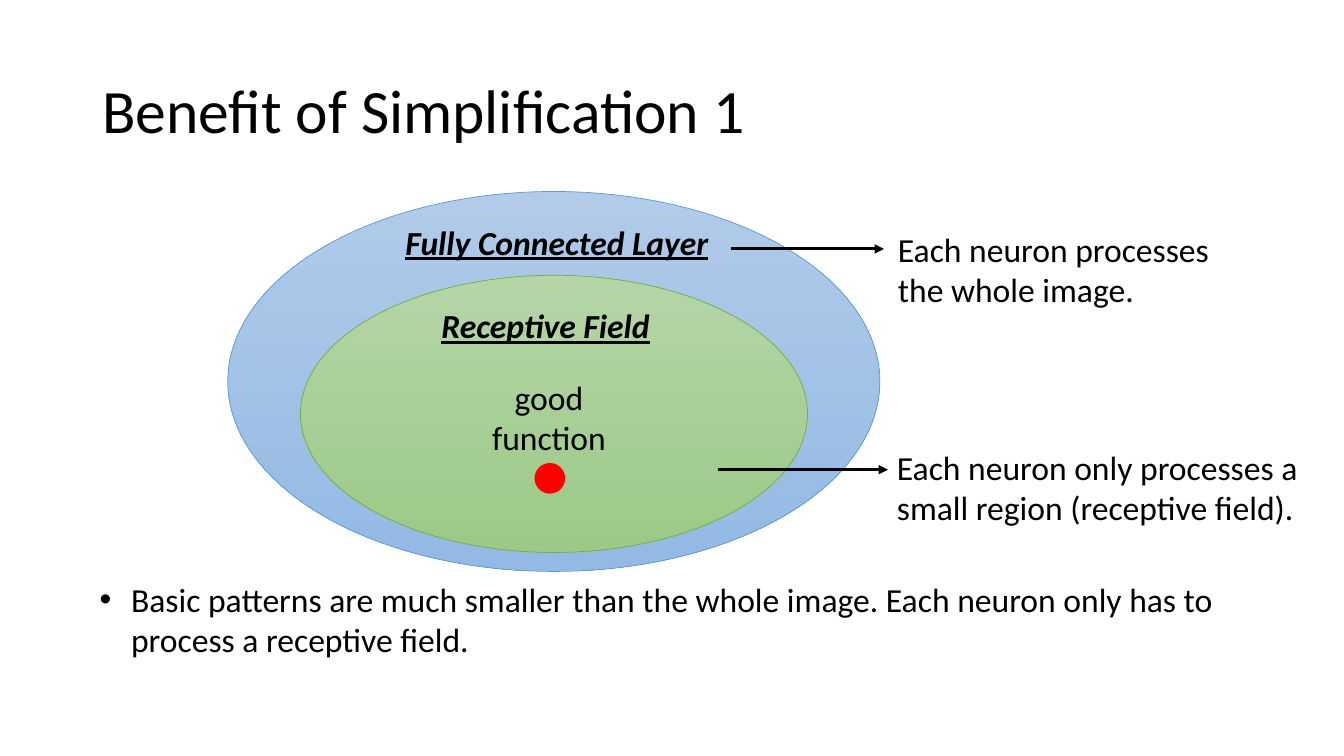
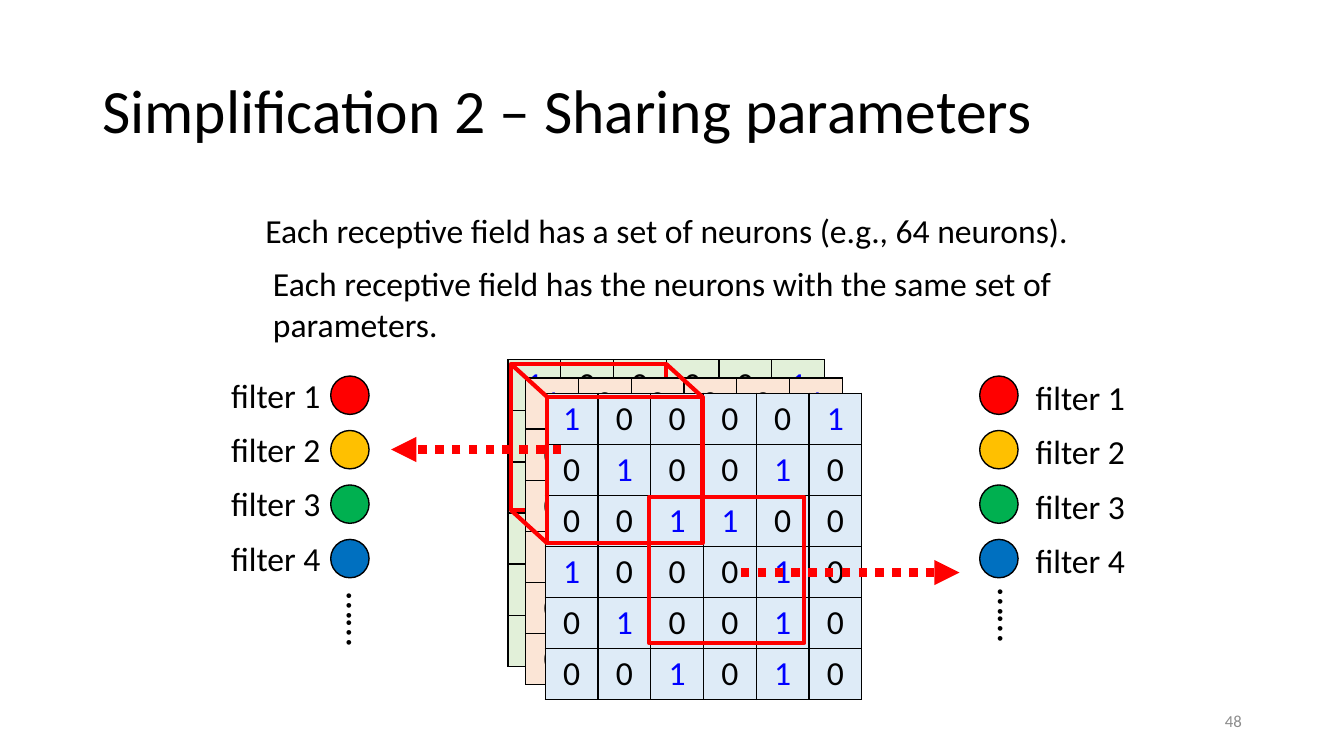
from lxml import etree
from pptx import Presentation
from pptx.dml.color import RGBColor
from pptx.enum.dml import MSO_LINE
from pptx.enum.shapes import MSO_CONNECTOR, MSO_SHAPE
from pptx.enum.text import MSO_ANCHOR, PP_ALIGN
from pptx.oxml.ns import qn
from pptx.util import Pt

LEFT, CENTER, RIGHT = PP_ALIGN.LEFT, PP_ALIGN.CENTER, PP_ALIGN.RIGHT
TOP, MIDDLE = MSO_ANCHOR.TOP, MSO_ANCHOR.MIDDLE
OVAL, RECT = MSO_SHAPE.OVAL, MSO_SHAPE.RECTANGLE
STRAIGHT, DOTTED = MSO_CONNECTOR.STRAIGHT, MSO_LINE.ROUND_DOT

FONT = "Calibri"
COLORS = {
    "black": "000000", "red": "FF0000", "yellow": "FFC000", "green": "00B050",
    "blue": "0070C0", "one": "0000FF", "number": "8C8C8C",
    "layer_top": "B1CBE9", "layer_end": "93B9E4", "layer_line": "5B9BD5",
    "field_top": "B5D5A7", "field_end": "9CC987", "field_line": "70AD47",
    "back": "E2F0D9", "middle": "FBE5D6", "front": "DEEBF7",
}
PIXELS = ["100001", "010010", "001100", "100010", "010010", "001010"]
CELL_W, CELL_H = 37.7, 36.5


def rgb(name):
    return RGBColor.from_string(COLORS[name])


class Deck:
    def __init__(self):
        self.prs = Presentation()
        self.prs.slide_width, self.prs.slide_height = Pt(960), Pt(540)
        self.s = None

    def slide(self, title):
        self.s = self.prs.slides.add_slide(self.prs.slide_layouts[6])
        p = self.text(title, 66, 28.8, 828, 104.4, size=44, anchor=MIDDLE)
        p.line_spacing = 0.9

    def run(self, p, text, size=24, color="black", emphasis=False):
        r = p.add_run()
        r.text = text
        r.font.name, r.font.size = FONT, Pt(size)
        r.font.color.rgb = rgb(color)
        if emphasis:
            r.font.bold = r.font.italic = r.font.underline = True

    def text(self, text, x, y, w, h=36, align=LEFT, anchor=TOP, rotation=0,
             bullet=False, **style):
        sp = self.s.shapes.add_textbox(Pt(x), Pt(y), Pt(w), Pt(h))
        sp.rotation = rotation
        tf = sp.text_frame
        tf.word_wrap, tf.vertical_anchor = True, anchor
        p = tf.paragraphs[0]
        p.alignment = align
        if bullet:
            pPr = p._p.get_or_add_pPr()
            pPr.set("marL", str(Pt(22.5)))
            pPr.set("indent", str(Pt(-22.5)))
            etree.SubElement(pPr, qn("a:buFont"), typeface="Arial")
            etree.SubElement(pPr, qn("a:buChar"), char="•")
        self.run(p, text, **style)
        return p

    def shape(self, kind, x, y, w, h, line, width, fill=None):
        """Fill is None, one colour name, or a (top, bottom) pair."""
        sp = self.s.shapes.add_shape(kind, Pt(x), Pt(y), Pt(w), Pt(h))
        sp.shadow.inherit = False
        sp.line.color.rgb, sp.line.width = rgb(line), Pt(width)
        if fill is None:
            sp.fill.background()
        elif isinstance(fill, tuple):
            sp.fill.gradient()
            sp.fill.gradient_angle = 270
            for stop, name in zip(sp.fill.gradient_stops, fill):
                stop.color.rgb = rgb(name)
        else:
            sp.fill.solid()
            sp.fill.fore_color.rgb = rgb(fill)

    def line(self, x1, y1, x2, y2, color="black", width=2.25, arrow=False, dash=None):
        c = self.s.shapes.add_connector(STRAIGHT, Pt(x1), Pt(y1), Pt(x2), Pt(y2))
        c.line.color.rgb, c.line.width = rgb(color), Pt(width)
        if dash:
            c.line.dash_style = dash
        if arrow:
            etree.SubElement(c.line._get_or_add_ln(), qn("a:tailEnd"), type="triangle")
        etree.SubElement(c._element.spPr, qn("a:effectLst"))

    def border(self, cell):
        tcPr = cell._tc.get_or_add_tcPr()
        for i, side in enumerate(("lnL", "lnR", "lnT", "lnB")):
            ln = etree.Element(qn("a:" + side), w=str(Pt(1)))
            fill = etree.SubElement(ln, qn("a:solidFill"))
            etree.SubElement(fill, qn("a:srgbClr"), val=COLORS["black"])
            tcPr.insert(i, ln)

    def pixel_grid(self, x, y, fill):
        n = len(PIXELS)
        frame = self.s.shapes.add_table(n, n, Pt(x), Pt(y), Pt(n * CELL_W), Pt(n * CELL_H))
        table = frame.table
        table.first_row = table.horz_banding = False
        for i, row in enumerate(PIXELS):
            table.rows[i].height, table.columns[i].width = Pt(CELL_H), Pt(CELL_W)
            for j, value in enumerate(row):
                cell = table.cell(i, j)
                cell.fill.solid()
                cell.fill.fore_color.rgb = rgb(fill)
                self.border(cell)
                p = cell.text_frame.paragraphs[0]
                p.alignment = CENTER
                self.run(p, value, color="one" if value == "1" else "black")

    def filters(self, circle_x, label_x, label_y, dots_x, dots_y):
        for i, color in enumerate(("red", "yellow", "green", "blue")):
            self.shape(OVAL, circle_x, 268.6 + 38.9 * i, 27.4, 27.4, "black", 1, color)
            self.text(f"filter {i + 1}", label_x, label_y + 38.8 * i, 98)
        self.text("……", dots_x, dots_y, 91.4, 41, rotation=90, size=28)


def benefit_slide(deck):
    deck.slide("Benefit of Simplification 1")
    deck.shape(OVAL, 162.7, 136.8, 465.8, 271.4, "layer_line", 0.5,
               ("layer_top", "layer_end"))
    deck.text("Fully Connected Layer", 254.9, 154.8, 285.8, align=CENTER, emphasis=True)
    deck.shape(OVAL, 214.6, 196.6, 362.2, 198, "field_line", 0.5,
               ("field_top", "field_end"))
    deck.text("Receptive Field", 308.2, 214.6, 184.3, emphasis=True)
    deck.text("Each neuron only processes a small region (receptive field).",
              633.6, 315.4, 326.2, 65.5)
    deck.line(512.6, 335.5, 634.3, 335.5, arrow=True)
    deck.text("Each neuron processes the whole image.", 634.3, 159.8, 261.4, 65.5)
    deck.line(522, 177.8, 631.4, 177.8, arrow=True)
    deck.shape(OVAL, 382.3, 331.2, 20.9, 20.9, "red", 1, "red")
    deck.text("good function", 337, 265.7, 110.2, 65.5, align=CENTER)
    deck.text("Basic patterns are much smaller than the whole image. "
              "Each neuron only has to process a receptive field.",
              64.1, 409.7, 830.2, 65.5, bullet=True)


def sharing_slide(deck):
    deck.slide("Simplification 2 – Sharing parameters")
    field_w, field_h = 110.9, 104.4
    back_x, back_y, front_x, front_y = 365, 260, 391, 283.7

    def field(x, y):
        deck.shape(RECT, x, y, field_w, field_h, "red", 3)

    deck.pixel_grid(362.9, 257, "back")
    field(back_x, back_y)
    deck.pixel_grid(375.5, 270, "middle")
    deck.pixel_grid(389.5, 280.8, "front")
    field(front_x, front_y)
    for dx, dy in ((0, 0), (field_w, 0), (0, field_h)):
        deck.line(back_x + dx, back_y + dy, front_x + dx, front_y + dy, "red", 3)
    field(463.7, 355)

    deck.text("Each receptive field has a set of neurons (e.g., 64 neurons).",
              176, 146.2, 600.5, align=CENTER)
    deck.text("Each receptive field has the neurons with the same set of parameters.",
              187.9, 184.5, 688)
    deck.filters(236.2, 158, 264, 213.1, 441.4)
    deck.filters(699.8, 732.6, 265.6, 678.2, 438.5)
    for x1, x2, y in ((401, 279.4, 321.1), (529.2, 685.4, 409)):
        deck.line(x1, y, x2, y, "red", 6, arrow=True, dash=DOTTED)
    deck.text("48", 678.2, 500.5, 216, 28.8, align=RIGHT, anchor=MIDDLE,
              size=12, color="number")


def main():
    deck = Deck()
    benefit_slide(deck)
    sharing_slide(deck)
    deck.prs.save("out.pptx")


if __name__ == "__main__":
    main()
